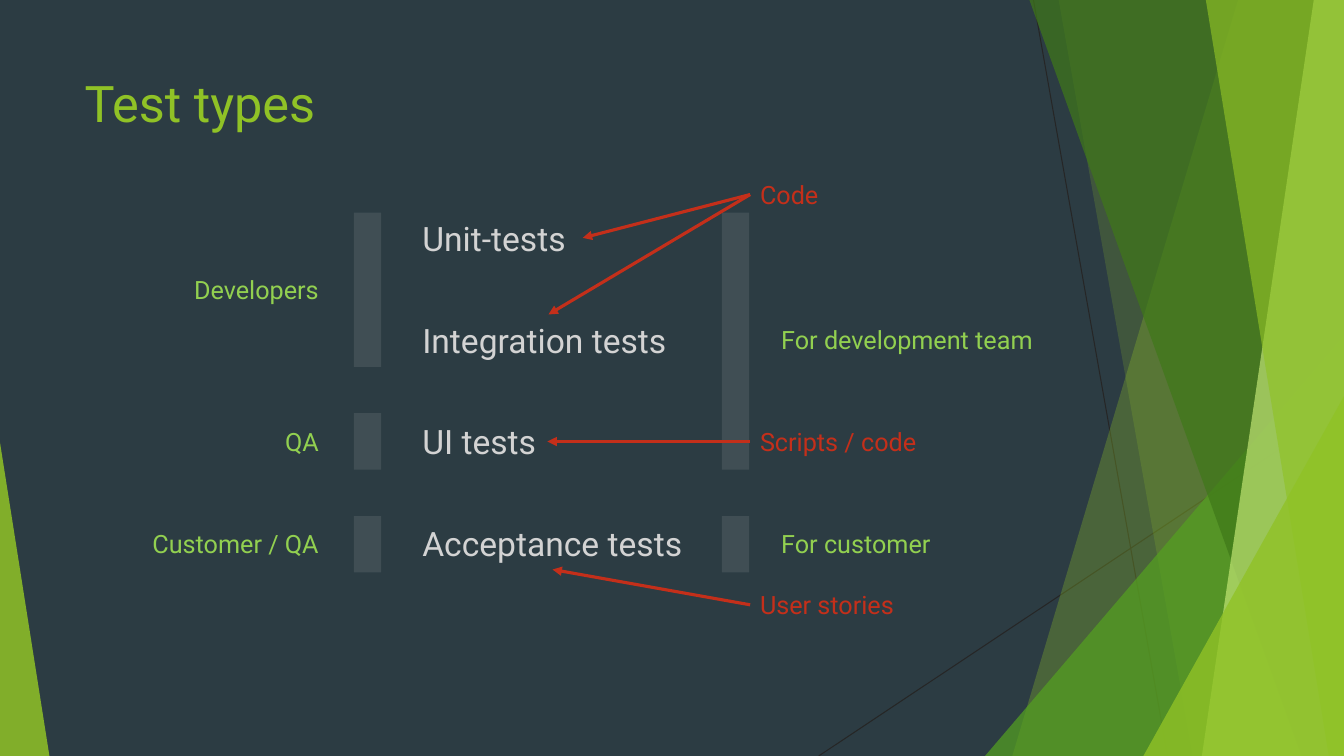
import pptx
import pptx.util
import pptx.dml.color
import pptx.enum.shapes
import pptx.enum.text
import pptx.oxml.ns
import lxml.etree

Inches = pptx.util.Inches
Pt = pptx.util.Pt
SHAPES = pptx.enum.shapes.MSO_SHAPE
ALIGN = pptx.enum.text.PP_ALIGN

WIDTH, HEIGHT = 13.33, 7.5
BACKGROUND, GREEN, LIME, RED = "2C3C43", "90C226", "92D050", "C42F1A"
GREY, PALE, DARK = "D3D3D3", "F2F2F2", "262626"


def rgb(value):
    """Turn a hex string into a colour."""
    return pptx.dml.color.RGBColor.from_string(value)


def add_child(parent, tag, **attributes):
    """Append a drawing element to an XML parent."""
    return lxml.etree.SubElement(parent, pptx.oxml.ns.qn(tag), attributes)


class Deck:
    """Hold the font and the current slide."""

    def __init__(self, font):
        """Open a presentation with one blank slide."""
        self.font = font
        self.presentation = pptx.Presentation()
        self.presentation.slide_width = Inches(WIDTH)
        self.presentation.slide_height = Inches(HEIGHT)
        self.slide = self.presentation.slides.add_slide(self.presentation.slide_layouts[6])
        self.slide.background.fill.solid()
        self.slide.background.fill.fore_color.rgb = rgb(BACKGROUND)

    def paint(self, shape, color, opacity):
        """Give a shape a see-through fill without line or shadow."""
        shape.shadow.inherit = False
        shape.line.fill.background()
        shape.fill.solid()
        shape.fill.fore_color.rgb = rgb(color)
        solid = shape.fill._xPr.find(pptx.oxml.ns.qn("a:solidFill"))
        add_child(solid[0], "a:alpha", val=str(opacity * 1000))

    def shape(self, kind, left, top, width, height, color, opacity):
        """Add a preset shape and return it."""
        shape = self.slide.shapes.add_shape(
            kind, Inches(left), Inches(top), Inches(width), Inches(height))
        self.paint(shape, color, opacity)
        return shape

    def triangle(self, left, top, width, apex, color, opacity):
        """Add a triangle standing on the bottom edge."""
        shape = self.shape(SHAPES.ISOSCELES_TRIANGLE, left, top, width, HEIGHT - top, color, opacity)
        shape.adjustments[0] = apex

    def facet(self, top_left, bottom_left, color, opacity):
        """Add a full-height facet with a slanted left side."""
        builder = self.slide.shapes.build_freeform(Inches(top_left), Inches(0))
        corners = [(WIDTH, 0), (WIDTH, HEIGHT), (bottom_left, HEIGHT)]
        builder.add_line_segments([(Inches(x), Inches(y)) for x, y in corners], close=True)
        self.paint(builder.convert_to_shape(), color, opacity)

    def bar(self, left, top, height):
        """Add a vertical bar that groups test types."""
        self.shape(SHAPES.RECTANGLE, left, top, 0.27, height, PALE, 10)

    def text(self, words, left, top, width, height, size, color, align=ALIGN.LEFT, wrap=True):
        """Add one line of text."""
        frame = self.slide.shapes.add_textbox(
            Inches(left), Inches(top), Inches(width), Inches(height)).text_frame
        frame.word_wrap = wrap
        paragraph = frame.paragraphs[0]
        paragraph.alignment = align
        run = paragraph.add_run()
        run.text = words
        run.font.name = self.font
        run.font.size = Pt(size)
        run.font.color.rgb = rgb(color)

    def line(self, start, end, color, width, arrow=False):
        """Add a straight line, with an arrowhead at its end if asked."""
        connector = self.slide.shapes.add_connector(
            pptx.enum.shapes.MSO_CONNECTOR.STRAIGHT, *map(Inches, start + end))
        connector.line.color.rgb = rgb(color)
        connector.line.width = Pt(width)
        if arrow:
            add_child(connector.line._get_or_add_ln(), "a:tailEnd", type="triangle")
        add_child(connector._element.spPr, "a:effectLst")


deck = Deck("Roboto")

deck.line((10.25, 0), (11.58, HEIGHT), DARK, 0.75)
deck.line((WIDTH, 4.03), (8.12, HEIGHT), DARK, 0.75)
deck.facet(12.28, 10.04, GREEN, 30)
deck.facet(10.5, 11.83, GREEN, 20)
deck.triangle(9.77, 3.33, 3.56, 1, "54A021", 72)
deck.facet(10.21, 12.91, "3F7819", 70)
deck.facet(13.03, 11.92, "C0E474", 70)
deck.facet(11.96, 13.18, GREEN, 65)
deck.triangle(11.34, 3.93, 1.99, 1, GREEN, 80)
deck.triangle(0, 4.39, 0.49, 0, GREEN, 85)

deck.text("Test types", 0.74, 0.67, 9.4, 1.44, 36, GREEN)

test_types = [("Unit-tests", 1.68), ("Integration tests", 2.69),
              ("UI tests", 1.34), ("Acceptance tests", 2.78)]
for row, (test_type, width) in enumerate(test_types):
    deck.text(test_type, 4.09, 2.11 + 1.01 * row, width, 0.5, 24, GREY, wrap=False)

AUTHOR_BAR, AUDIENCE_BAR = 3.51, 7.16
for left, top, height in [(AUTHOR_BAR, 2.11, 1.53), (AUTHOR_BAR, 4.1, 0.56),
                          (AUTHOR_BAR, 5.12, 0.56), (AUDIENCE_BAR, 2.11, 2.55),
                          (AUDIENCE_BAR, 5.12, 0.56)]:
    deck.bar(left, top, height)

for author, top in [("Developers", 2.67), ("QA", 4.18), ("Customer / QA", 5.19)]:
    deck.text(author, 0.44, top, 2.82, 0.4, 18, LIME, ALIGN.RIGHT)

for audience, top in [("For development team", 3.17), ("For customer", 5.19)]:
    deck.text(audience, 7.65, top, 2.83, 0.4, 18, LIME)

artifacts = [("Code", 1.73, [(5.78, 2.36), (5.44, 3.12)]),
             ("Scripts / code", 4.18, [(5.43, 4.38)]),
             ("User stories", 5.8, [(5.48, 5.65)])]
for artifact, top, targets in artifacts:
    deck.text(artifact, 7.44, top, 2.74, 0.4, 18, RED)
    for target in targets:
        deck.line((7.44, top + 0.2), target, RED, 2.25, arrow=True)

deck.presentation.save("out.pptx")
